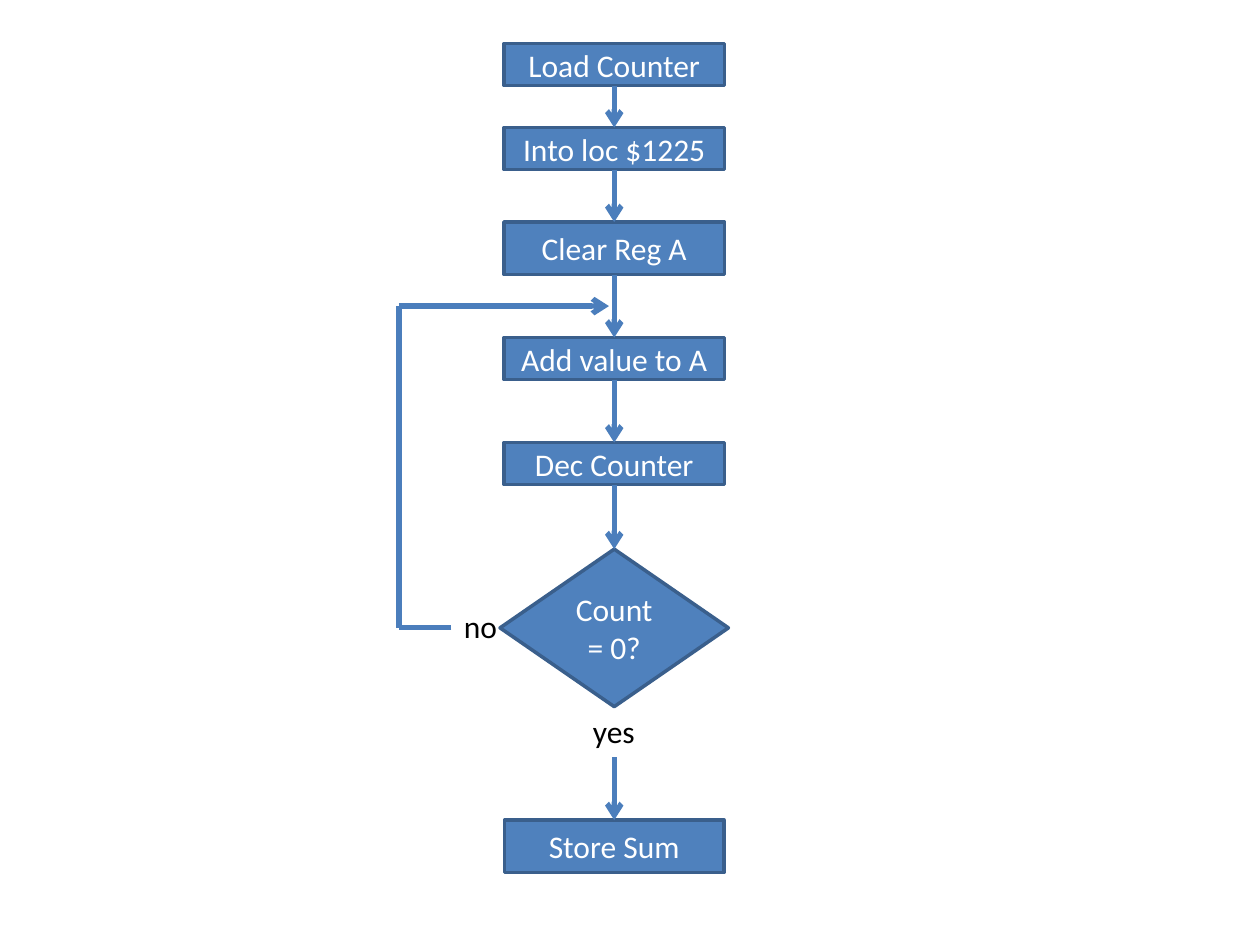
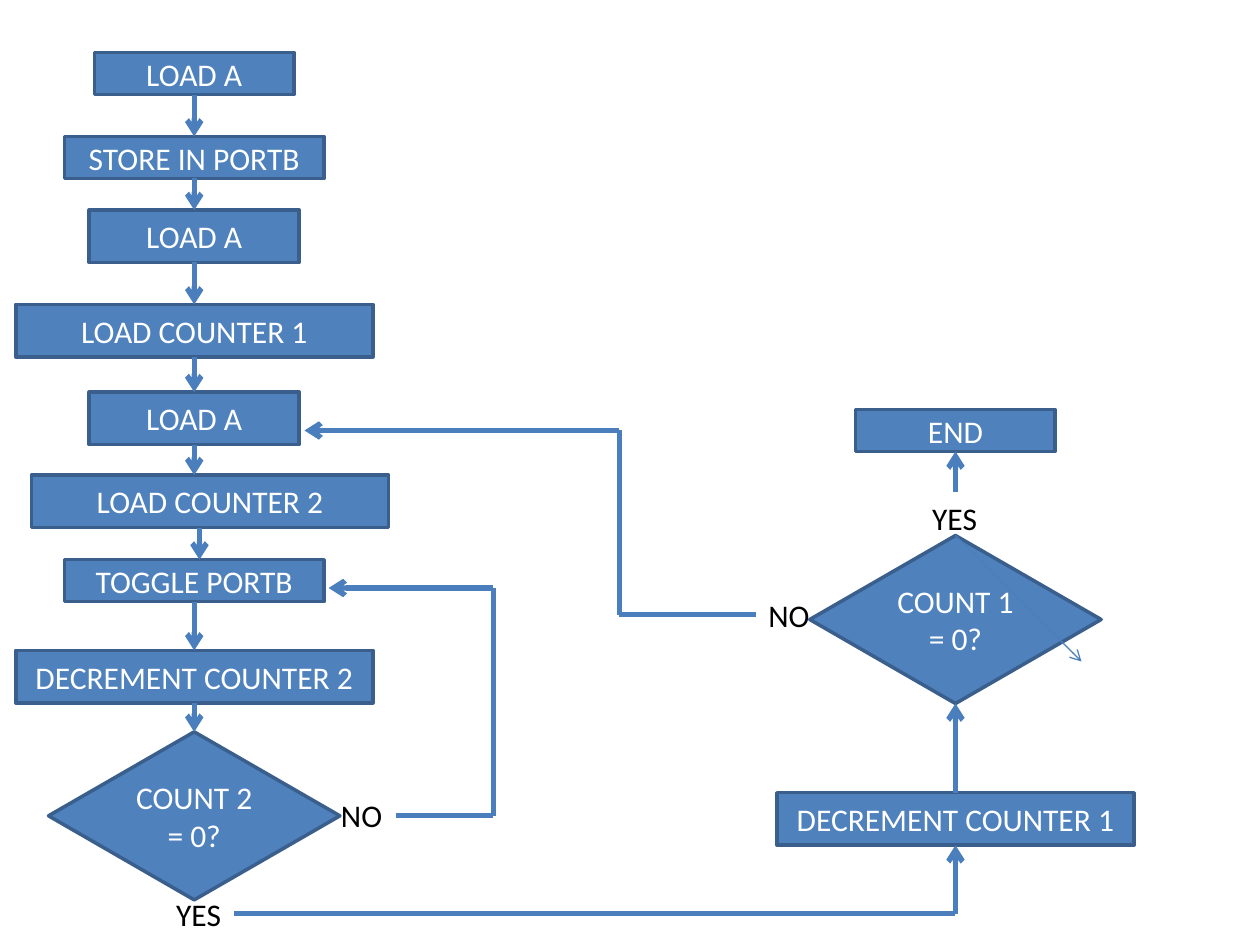
from dataclasses import dataclass
from itertools import pairwise
from typing import NamedTuple

import lxml.etree
import pptx
import pptx.dml.color
import pptx.enum.shapes
import pptx.enum.text
import pptx.oxml.ns
import pptx.util

COLORS = {"fill": "4F81BD", "edge": "3A5F8C", "arrow": "4B7EBC", "light": "FFFFFF", "dark": "000000"}
FONT = "Calibri"
COLUMNS = 120
SLIDE_W, SLIDE_H = pptx.util.Inches(10), pptx.util.Inches(7.5)
TOP, LEFT, BOTTOM, RIGHT = range(4)
SHAPE = pptx.enum.shapes.MSO_SHAPE
ALIGN = pptx.enum.text.PP_ALIGN


class Point(NamedTuple):
    x: float
    y: float


class Join(NamedTuple):
    node: str
    side: int


@dataclass(frozen=True)
class Node:
    text: str
    center: float
    top: float
    width: float
    height: float
    kind: int = SHAPE.RECTANGLE

    def side(self, side: int) -> Point:
        middle = self.top + self.height / 2
        return {
            TOP: Point(self.center, self.top),
            LEFT: Point(self.center - self.width / 2, middle),
            BOTTOM: Point(self.center, self.top + self.height),
            RIGHT: Point(self.center + self.width / 2, middle),
        }[side]


@dataclass(frozen=True)
class Label:
    text: str
    left: float
    top: float
    width: float
    height: float = 4.85


@dataclass(frozen=True)
class Route:
    stops: tuple[Point | Join, ...]
    weight: float = 3


@dataclass(frozen=True)
class Flowchart:
    nodes: dict[str, Node]
    labels: tuple[Label, ...]
    routes: tuple[Route, ...]


def grid(cells: float) -> int:
    return round(SLIDE_W * cells / COLUMNS)


def rgb(name: str) -> pptx.dml.color.RGBColor:
    return pptx.dml.color.RGBColor.from_string(COLORS[name])


def down(*keys: str) -> tuple[Route, ...]:
    return tuple(Route((Join(a, BOTTOM), Join(b, TOP))) for a, b in pairwise(keys))


def write(tf, text: str, color: str, align) -> None:
    p = tf.paragraphs[0]
    p.text = text
    p.alignment = align
    p.font.name = FONT
    p.font.size = pptx.util.Pt(18)
    p.font.color.rgb = rgb(color)


def draw_node(s, node: Node):
    sp = s.shapes.add_shape(node.kind, grid(node.center - node.width / 2), grid(node.top),
                            grid(node.width), grid(node.height))
    sp.shadow.inherit = False
    sp.fill.solid()
    sp.fill.fore_color.rgb = rgb("fill")
    sp.line.color.rgb = rgb("edge")
    sp.line.width = pptx.util.Pt(2)
    sp.text_frame.vertical_anchor = pptx.enum.text.MSO_ANCHOR.MIDDLE
    write(sp.text_frame, node.text, "light", ALIGN.CENTER)
    return sp


def draw_label(s, label: Label) -> None:
    box = s.shapes.add_textbox(grid(label.left), grid(label.top), grid(label.width), grid(label.height))
    tf = box.text_frame
    tf.word_wrap = False
    tf.auto_size = pptx.enum.text.MSO_AUTO_SIZE.SHAPE_TO_FIT_TEXT
    write(tf, label.text, "dark", ALIGN.LEFT)


def draw_route(s, route: Route, nodes: dict[str, Node], shapes: dict) -> None:
    qn = pptx.oxml.ns.qn
    for start, end in pairwise(route.stops):
        a, b = (nodes[stop.node].side(stop.side) if isinstance(stop, Join) else stop
                for stop in (start, end))
        line = s.shapes.add_connector(pptx.enum.shapes.MSO_CONNECTOR.STRAIGHT,
                                      grid(a.x), grid(a.y), grid(b.x), grid(b.y))
        if isinstance(start, Join):
            line.begin_connect(shapes[start.node], start.side)
        if isinstance(end, Join):
            line.end_connect(shapes[end.node], end.side)
        line.line.color.rgb = rgb("arrow")
        line.line.width = pptx.util.Pt(route.weight)
        properties = line._element.spPr
        lxml.etree.SubElement(properties, qn("a:effectLst"))
    lxml.etree.SubElement(properties.find(qn("a:ln")), qn("a:tailEnd"), type="arrow")


def draw_flowchart(prs, chart: Flowchart) -> None:
    s = prs.slides.add_slide(prs.slide_layouts[6])
    shapes = {key: draw_node(s, node) for key, node in chart.nodes.items()}
    for label in chart.labels:
        draw_label(s, label)
    for route in chart.routes:
        draw_route(s, route, chart.nodes, shapes)


SUM_X = 58.5
SUM_LOOP = Flowchart(
    nodes={
        "load": Node("Load Counter", SUM_X, 4.15, 21, 4),
        "into": Node("Into loc $1225", SUM_X, 12.15, 21, 4),
        "clear": Node("Clear Reg A", SUM_X, 21.15, 21, 5),
        "add": Node("Add value to A", SUM_X, 32.15, 21, 4),
        "dec": Node("Dec Counter", SUM_X, 42.15, 21, 4),
        "count": Node("Count = 0?", SUM_X, 52.3, 21.75, 15, SHAPE.DIAMOND),
        "store": Node("Store Sum", SUM_X, 78.1, 20.9, 5),
    },
    labels=(Label("yes", 55.3, 67.2, 6.5), Label("no", 43, 57.25, 5.55)),
    routes=(
        *down("load", "into", "clear", "add", "dec", "count"),
        Route((Point(43, 59.8), Point(38, 59.8), Point(38, 29.15), Point(58, 29.15))),
        Route((Point(SUM_X, 72.1), Join("store", TOP))),
    ),
)

TOGGLE_X, END_X = 18.5, 91
TOGGLE_LOOP = Flowchart(
    nodes={
        "load": Node("LOAD A", TOGGLE_X, 5, 19, 4),
        "store": Node("STORE IN PORTB", TOGGLE_X, 13, 24.75, 4),
        "reload": Node("LOAD A", TOGGLE_X, 20, 20, 5),
        "load1": Node("LOAD COUNTER 1", TOGGLE_X, 29, 34, 5),
        "outer": Node("LOAD A", TOGGLE_X, 37.35, 20, 5),
        "load2": Node("LOAD COUNTER 2", 20, 45.25, 34, 5),
        "toggle": Node("TOGGLE PORTB", TOGGLE_X, 53.3, 24.75, 4),
        "dec2": Node("DECREMENT COUNTER 2", TOGGLE_X, 61.95, 34, 5),
        "count2": Node("COUNT 2 = 0?", TOGGLE_X, 69.7, 27.75, 16, SHAPE.DIAMOND),
        "dec1": Node("DECREMENT COUNTER 1", END_X, 75.5, 34, 5),
        "count1": Node("COUNT 1 = 0?", END_X, 51, 27.75, 16, SHAPE.DIAMOND),
        "end": Node("END", END_X, 39, 19, 4),
    },
    labels=(
        Label("NO", 31.3, 75.25, 6.35),
        Label("YES", 15.6, 84.6, 6.7),
        Label("YES", 87.6, 46.9, 6.7),
        Label("NO", 72, 56.15, 6.35),
    ),
    routes=(
        *down("load", "store", "reload", "load1", "outer"),
        Route((Join("outer", BOTTOM), Point(TOGGLE_X, 45.25))),
        Route((Point(19, 50.25), Point(19, 53.3))),
        *down("toggle", "dec2", "count2"),
        Route((Point(37.7, 77.7), Point(47, 77.7), Point(47, 56), Point(31.3, 56))),
        Route((Point(22.3, 87), Point(END_X, 87), Join("dec1", BOTTOM))),
        Route((Join("dec1", TOP), Join("count1", BOTTOM))),
        Route((Join("count1", TOP), Point(103, 63)), 0.75),
        Route((Point(END_X, 46.9), Join("end", BOTTOM))),
        Route((Point(72, 58.55), Point(59, 58.55), Point(59, 41), Point(29, 41))),
    ),
)


def main() -> None:
    prs = pptx.Presentation()
    prs.slide_width, prs.slide_height = SLIDE_W, SLIDE_H
    for chart in (SUM_LOOP, TOGGLE_LOOP):
        draw_flowchart(prs, chart)
    prs.save("out.pptx")


if __name__ == "__main__":
    main()
